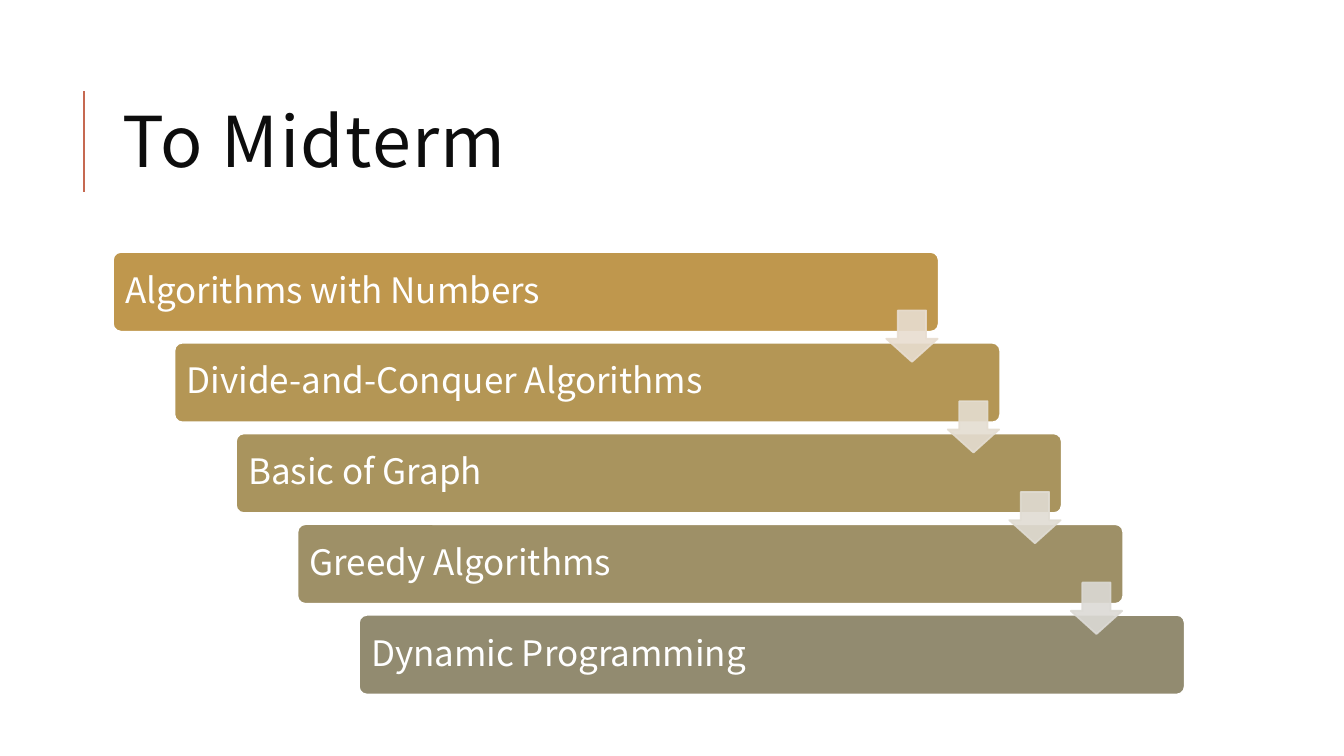
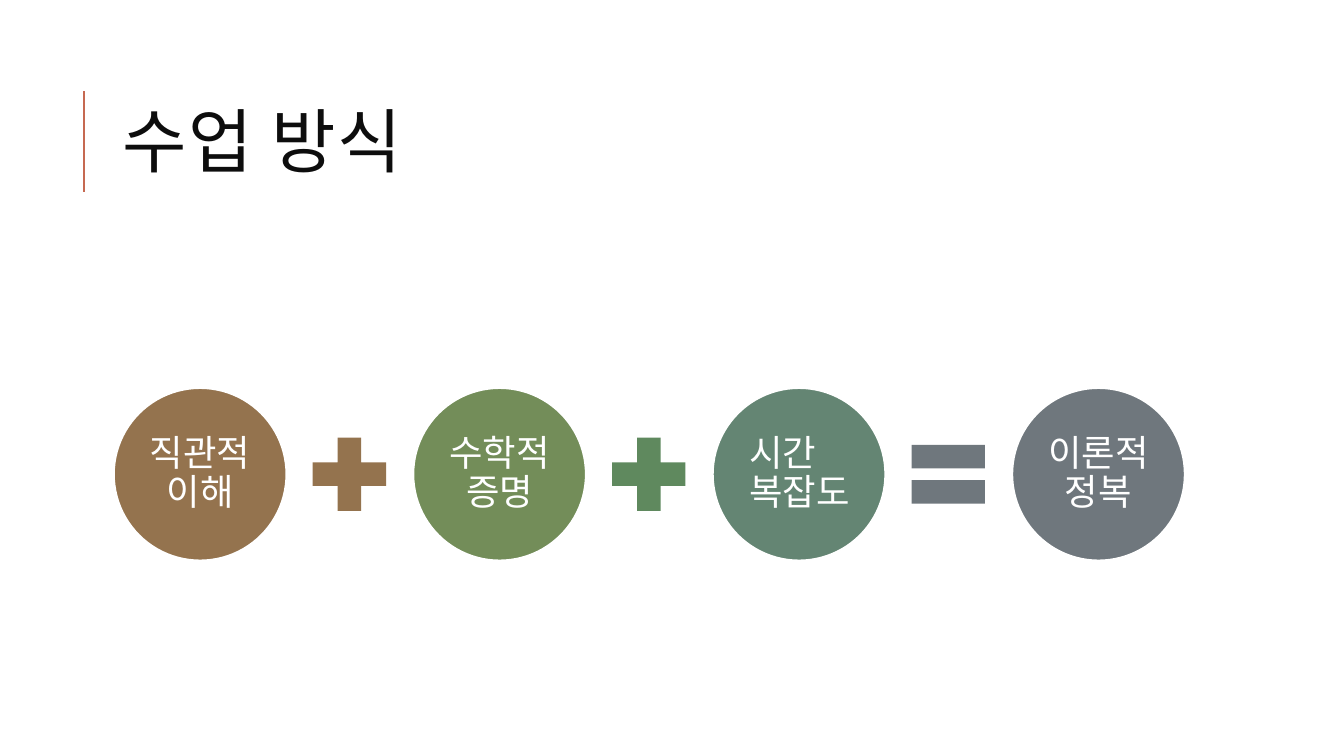
from lxml import etree
from pptx import Presentation
from pptx.dml.color import RGBColor
from pptx.enum.shapes import MSO_CONNECTOR, MSO_SHAPE
from pptx.enum.text import MSO_ANCHOR, PP_ALIGN
from pptx.oxml.ns import qn
from pptx.util import Inches, Pt

STRAIGHT = MSO_CONNECTOR.STRAIGHT
ROUNDED, DOWN = MSO_SHAPE.ROUNDED_RECTANGLE, MSO_SHAPE.DOWN_ARROW
OVAL, PLUS, EQUAL = MSO_SHAPE.OVAL, MSO_SHAPE.MATH_PLUS, MSO_SHAPE.MATH_EQUAL
MIDDLE = MSO_ANCHOR.MIDDLE
LEFT, CENTER = PP_ALIGN.LEFT, PP_ALIGN.CENTER

FONT = "Noto Sans CJK KR"
COLORS = {
    "white": "FFFFFF", "title": "0D0D0D", "accent": "C66951",
    "gold": "BF974D", "ochre": "B49655", "khaki": "A9945E",
    "olive": "9E9067", "stone": "928B70",
    "sand1": "E8DDD0", "sand2": "E4DDD1", "sand3": "E0DCD3", "sand4": "DCDAD5",
    "brown": "94734E", "moss": "738D59", "green": "5F895E",
    "teal": "648573", "slate": "6F777D",
}


def add_shape(s, kind, x, y, w, h, fill, line=None, alpha=None):
    sp = s.shapes.add_shape(kind, Inches(x), Inches(y), Inches(w), Inches(h))
    sp.shadow.inherit = False
    sp.fill.solid()
    sp.fill.fore_color.rgb = RGBColor.from_string(COLORS[fill])
    if line:
        sp.line.color.rgb = RGBColor.from_string(COLORS[line])
        sp.line.width = Pt(1.25)
    else:
        sp.line.fill.background()
    if alpha:
        for clr in sp.element.spPr.iter(qn("a:srgbClr")):
            etree.SubElement(clr, qn("a:alpha"), val=str(alpha * 1000))
    return sp


def set_text(sp, text, size, color, align, spacing, inset, left=None, spc=0):
    tf = sp.text_frame
    tf.word_wrap = True
    tf.vertical_anchor = MIDDLE
    tf.margin_top = tf.margin_bottom = tf.margin_right = Inches(inset)
    tf.margin_left = Inches(left or inset)
    tf.text = text
    p = tf.paragraphs[0]
    p.alignment = align
    p.line_spacing = spacing
    for r in p.runs:
        r.font.size = Pt(size)
        r.font.color.rgb = RGBColor.from_string(COLORS[color])
        r.font.name = FONT
        rPr = r.font._element if hasattr(r.font, "_element") else r._r.get_or_add_rPr()
        etree.SubElement(rPr, qn("a:ea"), typeface=FONT)
        if spc:
            rPr.set("spc", str(spc))


prs = Presentation()
prs.slide_width, prs.slide_height = Inches(13.33), Inches(7.5)

slides = []
for title in ("To Midterm", "수업 방식"):
    s = prs.slides.add_slide(prs.slide_layouts[6])
    rule = s.shapes.add_connector(
        STRAIGHT, Inches(0.83), Inches(1.9), Inches(0.83), Inches(0.9))
    rule.line.color.rgb = RGBColor.from_string(COLORS["accent"])
    rule.line.width = Pt(1.5)
    etree.SubElement(rule.element.spPr, qn("a:effectLst"))
    box = s.shapes.add_textbox(Inches(1.12), Inches(0.64), Inches(10.63), Inches(1.64))
    set_text(box, title, 50, "title", LEFT, 0.8, 0.1, spc=100)
    slides.append(s)

topics_slide, method_slide = slides

STEP_X, STEP_Y = 0.61, 0.9
topics = [
    ("Algorithms with Numbers", "gold"),
    ("Divide-and-Conquer Algorithms", "ochre"),
    ("Basic of Graph", "khaki"),
    ("Greedy Algorithms", "olive"),
    ("Dynamic Programming", "stone"),
]
for i, (topic, color) in enumerate(topics):
    sp = add_shape(topics_slide, ROUNDED, 1.12 + i * STEP_X, 2.5 + i * STEP_Y,
                   8.19, 0.79, color, "white")
    sp.adjustments[0] = 0.1
    set_text(sp, topic, 25, "white", LEFT, 0.9, 0.1)

for i, color in enumerate(("sand1", "sand2", "sand3", "sand4")):
    sp = add_shape(topics_slide, DOWN, 8.79 + i * STEP_X, 3.08 + i * STEP_Y,
                   0.51, 0.51, color, color, alpha=90)
    sp.adjustments[0], sp.adjustments[1] = 0.55, 0.45

PITCH = 2.97
circles = [
    ("직관적 이해", "brown", CENTER, None),
    ("수학적 증명", "moss", CENTER, None),
    ("시간\v복잡도", "teal", LEFT, 0.11),
    ("이론적 정복", "slate", CENTER, None),
]
for i, (label, color, align, left) in enumerate(circles):
    sp = add_shape(method_slide, OVAL, 1.13 + i * PITCH, 3.85, 1.71, 1.71, color, "white")
    set_text(sp, label, 26, "white", align, 0.9, 0.04, left)

for i, (kind, color) in enumerate(((PLUS, "brown"), (PLUS, "green"), (EQUAL, "slate"))):
    add_shape(method_slide, kind, 2.97 + i * PITCH, 4.21, 0.99, 0.99, color)

prs.save("out.pptx")
